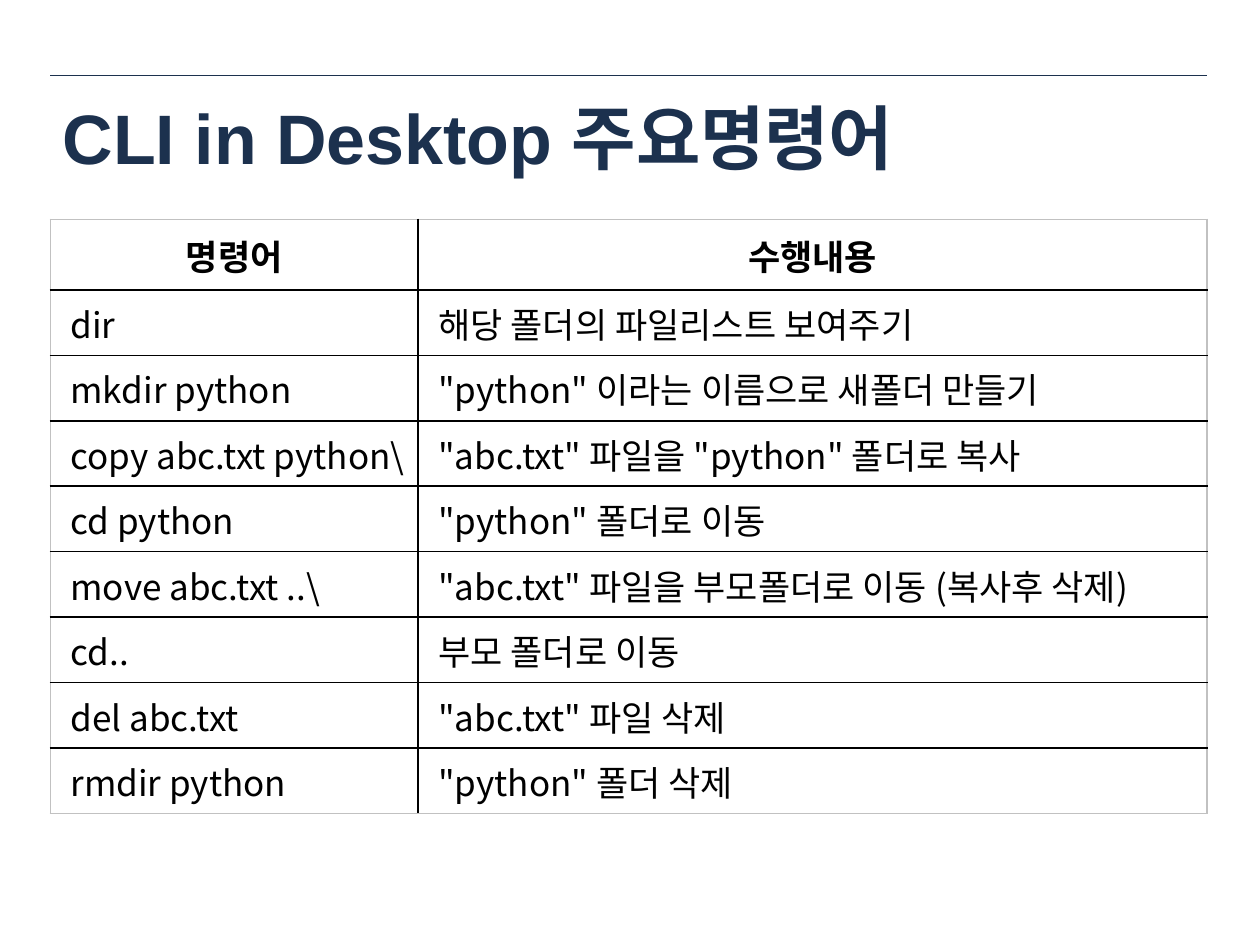
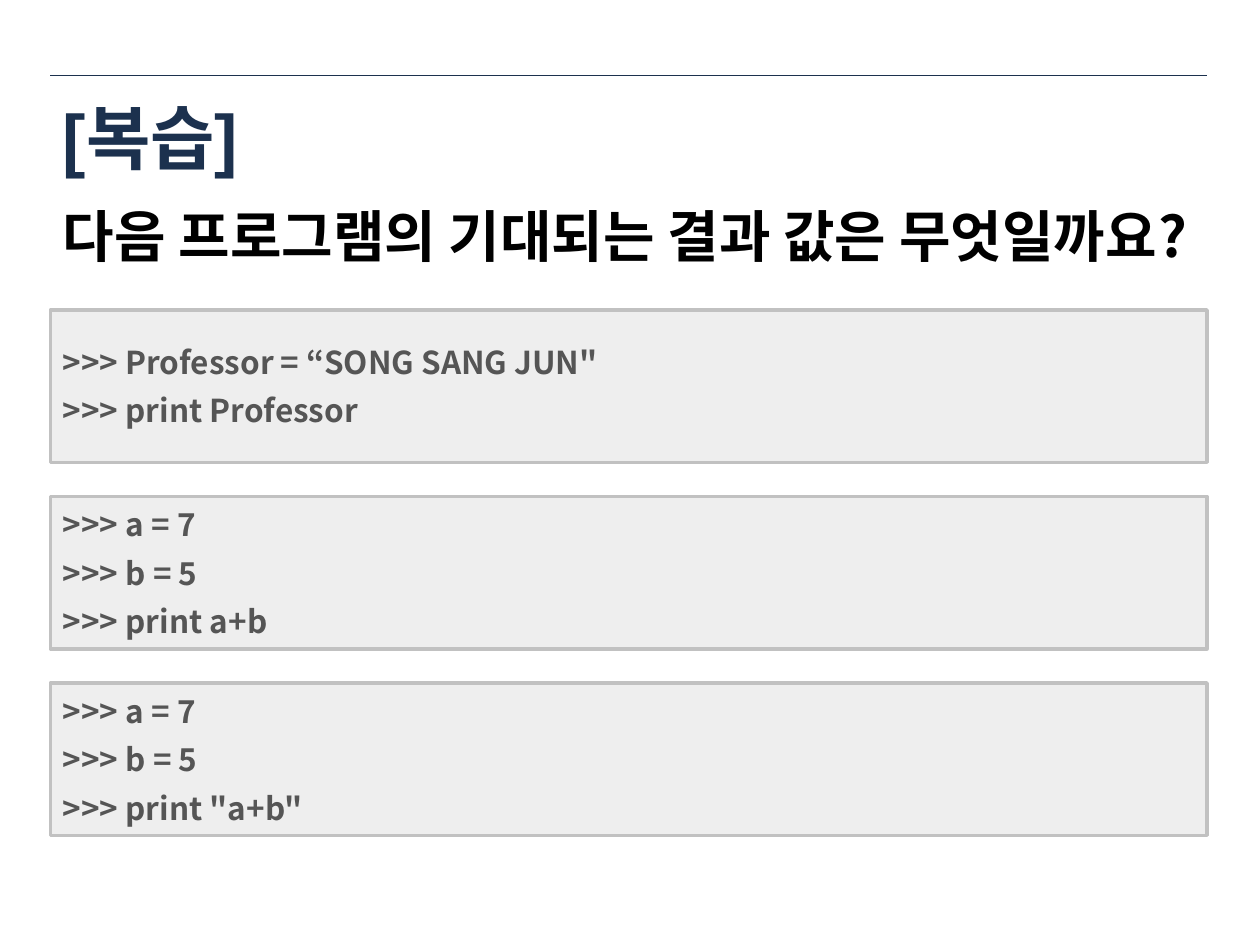
from lxml import etree
from pptx import Presentation, util as u
from pptx.dml.color import RGBColor
from pptx.enum import shapes, text
from pptx.oxml import ns

WIDTH, HEIGHT = 10, 7.5
LEFT, CONTENT_WIDTH = 0.4, 9.18
LATIN, KOREAN = "Arial", "Noto Sans CJK KR"
NAVY, BLACK, CODE_GREY = "1C314E", "000000", "555555"
BOX_FILL, FRAME_GREY = "EEEEEE", "C1C1C1"

COMMAND_TITLE = "CLI in Desktop 주요명령어"
COMMANDS = [
    ("명령어", "수행내용"),
    ("dir", "해당 폴더의 파일리스트 보여주기"),
    ("mkdir python", '"python" 이라는 이름으로 새폴더 만들기'),
    ("copy abc.txt python\\", '"abc.txt" 파일을 "python" 폴더로 복사'),
    ("cd python", '"python" 폴더로 이동'),
    ("move abc.txt ..\\", '"abc.txt" 파일을 부모폴더로 이동 (복사후 삭제)'),
    ("cd..", "부모 폴더로 이동"),
    ("del abc.txt", '"abc.txt" 파일 삭제'),
    ("rmdir python", '"python" 폴더 삭제'),
]
TABLE_TOP, COMMAND_SHARE = 1.74, 0.318
HEADER_HEIGHT, ROW_HEIGHT = 0.56, 0.52

REVIEW_TITLE = "[복습]"
QUESTION = "다음 프로그램의 기대되는 결과 값은 무엇일까요?"
PROGRAMS = [
    ['>>> Professor = “SONG SANG JUN"', ">>> print Professor"],
    [">>> a = 7", ">>> b = 5", ">>> print a+b"],
    [">>> a = 7", ">>> b = 5", '>>> print "a+b"'],
]
PROGRAM_TOP, PROGRAM_HEIGHT, PROGRAM_STEP = 2.46, 1.21, 1.48


def color(value):
    return RGBColor.from_string(value)


def inches(*lengths):
    return [u.Inches(length) for length in lengths]


def write(frame, lines, size, ink, latin=KOREAN, bold=True,
          align=text.PP_ALIGN.LEFT, after=0, anchor=text.MSO_ANCHOR.MIDDLE):
    """Fill a text frame with equally formatted paragraphs."""
    frame.text = "\n".join(lines)
    frame.word_wrap = True
    frame.vertical_anchor = anchor
    for paragraph in frame.paragraphs:
        paragraph.alignment = align
        paragraph.space_after = u.Pt(after)
        for run in paragraph.runs:
            font = run.font
            font.size, font.bold, font.name = u.Pt(size), bold, latin
            font.color.rgb = color(ink)
            east_asian = etree.SubElement(run._r.get_or_add_rPr(), ns.qn("a:ea"))
            east_asian.set("typeface", KOREAN)


def add_titled_slide(presentation, title):
    """Add a blank slide with the shared top rule and title."""
    slide = presentation.slides.add_slide(presentation.slide_layouts[6])
    rule = slide.shapes.add_connector(
        shapes.MSO_CONNECTOR.STRAIGHT, *inches(LEFT, 0.6, LEFT + CONTENT_WIDTH, 0.6))
    rule.line.color.rgb = color(NAVY)
    rule.line.width = u.Pt(0.25)
    etree.SubElement(rule._element.spPr, ns.qn("a:effectLst"))
    box = slide.shapes.add_textbox(*inches(LEFT, 0.62, CONTENT_WIDTH, 0.93))
    write(box.text_frame, [title], 40, NAVY, latin=LATIN)
    return slide


def set_borders(cell, sides):
    """Draw the four cell borders; sides maps L, R, T, B to colours."""
    properties = cell._tc.get_or_add_tcPr()
    for position, (side, ink) in enumerate(sides.items()):
        line = etree.Element(ns.qn(f"a:ln{side}"), w=str(u.Pt(1)))
        fill = etree.SubElement(line, ns.qn("a:solidFill"))
        etree.SubElement(fill, ns.qn("a:srgbClr"), val=ink)
        properties.insert(position, line)


def add_command_table(slide):
    rows, columns = len(COMMANDS), len(COMMANDS[0])
    heights = [HEADER_HEIGHT] + [ROW_HEIGHT] * (rows - 1)
    table = slide.shapes.add_table(
        rows, columns, *inches(LEFT, TABLE_TOP, CONTENT_WIDTH, sum(heights))).table
    table.first_row = table.horz_banding = False
    for column, share in zip(table.columns, (COMMAND_SHARE, 1 - COMMAND_SHARE)):
        column.width = u.Inches(CONTENT_WIDTH * share)
    for r, values in enumerate(COMMANDS):
        table.rows[r].height = u.Inches(heights[r])
        header = r == 0
        for c, value in enumerate(values):
            cell = table.cell(r, c)
            cell.fill.background()
            cell.margin_left = u.Inches(0.01 if header else 0.16)
            cell.margin_right = cell.margin_top = u.Inches(0.01)
            cell.margin_bottom = 0
            cell.vertical_anchor = text.MSO_ANCHOR.MIDDLE
            write(cell.text_frame, [value], 20, BLACK, bold=header,
                  align=text.PP_ALIGN.CENTER if header else text.PP_ALIGN.LEFT)
            outer = {"L": c == 0, "R": c == columns - 1,
                     "T": header, "B": r == rows - 1}
            set_borders(cell, {side: FRAME_GREY if edge else BLACK
                               for side, edge in outer.items()})


def add_program(slide, index, lines):
    top = PROGRAM_TOP + index * PROGRAM_STEP
    box = slide.shapes.add_shape(
        shapes.MSO_SHAPE.RECTANGLE, *inches(LEFT, top, CONTENT_WIDTH, PROGRAM_HEIGHT))
    box.shadow.inherit = False
    box.fill.solid()
    box.fill.fore_color.rgb = color(BOX_FILL)
    box.line.color.rgb = color(FRAME_GREY)
    box.line.width = u.Pt(2)
    write(box.text_frame, lines, 18, CODE_GREY, after=6)


def main():
    presentation = Presentation()
    presentation.slide_width, presentation.slide_height = inches(WIDTH, HEIGHT)

    add_command_table(add_titled_slide(presentation, COMMAND_TITLE))

    review = add_titled_slide(presentation, REVIEW_TITLE)
    question = review.shapes.add_textbox(*inches(LEFT, 1.55, WIDTH - LEFT, 0.64))
    write(question.text_frame, [QUESTION], 32, BLACK, after=12,
          anchor=text.MSO_ANCHOR.TOP)
    for index, lines in enumerate(PROGRAMS):
        add_program(review, index, lines)

    presentation.save("out.pptx")


if __name__ == "__main__":
    main()
